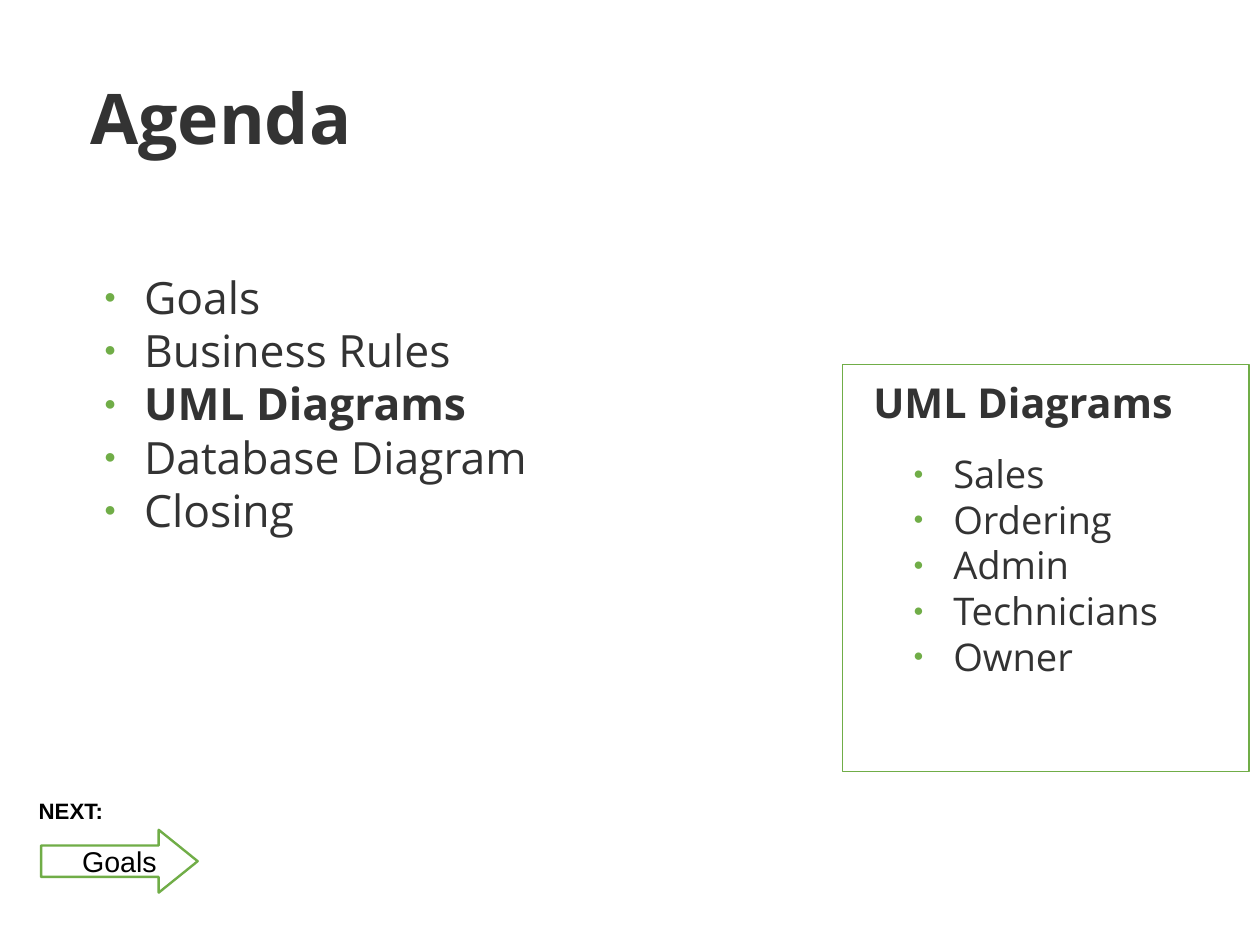
from dataclasses import dataclass

from lxml.etree import SubElement
from pptx import Presentation
from pptx.dml.color import RGBColor
from pptx.enum.shapes import MSO_SHAPE as Preset
from pptx.enum.text import MSO_ANCHOR as Anchor, MSO_AUTO_SIZE as AutoSize, PP_ALIGN as Align
from pptx.oxml.ns import qn
from pptx.util import Inches, Pt


@dataclass(frozen=True)
class Theme:
    ink: RGBColor = RGBColor(0x33, 0x33, 0x33)
    black: RGBColor = RGBColor(0, 0, 0)
    white: RGBColor = RGBColor(255, 255, 255)
    accent: RGBColor = RGBColor(0x70, 0xAD, 0x47)
    main_font: str = "Open Sans"
    label_font: str = "Arial"
    title: int = 44
    agenda: int = 28
    heading: int = 26
    topics: int = 24
    arrow: int = 18
    label: int = 14


@dataclass(frozen=True)
class Place:
    left: float
    top: float
    width: float
    height: float

    def lengths(self) -> tuple:
        return tuple(Inches(n) for n in (self.left, self.top, self.width, self.height))


@dataclass(frozen=True)
class TextBlock:
    holder: int  # placeholder index in the layout
    place: Place
    lines: tuple
    size: int
    bold: tuple = ()  # lines set in bold
    bulleted: bool = False


THEME = Theme()
CM_PER_INCH = 2.54
CURRENT = "UML Diagrams"
BLOCKS = (
    TextBlock(0, Place(0.79, 0.33, 9.68, 1.38), ("Agenda",), THEME.title, ("Agenda",)),
    TextBlock(2, Place(0.79, 2.36, 4.61, 4.8),
              ("Goals", "Business Rules", CURRENT, "Database Diagram", "Closing"),
              THEME.agenda, (CURRENT,), True),
    TextBlock(4, Place(7.87, 3.94, 3.15, 3.78),
              ("Sales", "Ordering", "Admin", "Technicians", "Owner"),
              THEME.topics, bulleted=True),
    TextBlock(3, Place(7.64, 2.83, 3.38, 1.38), (CURRENT,), THEME.heading, (CURRENT,)),
)


def set_font(para, name: str, size: int, color: RGBColor, bold: bool = False) -> None:
    font = para.font
    font.name, font.size, font.bold = name, Pt(size), bold
    font.color.rgb = color


def add_bullet(para) -> None:
    props = para._p.get_or_add_pPr()
    props.set("marL", str(Inches(0.47)))
    props.set("indent", str(Inches(-0.35)))
    color = SubElement(props, qn("a:buClr"))
    SubElement(color, qn("a:srgbClr"), val=str(THEME.accent))
    SubElement(props, qn("a:buSzPct"), val="45000")
    SubElement(props, qn("a:buFont"), typeface=THEME.label_font)
    SubElement(props, qn("a:buChar"), char="●")


def fill_block(page, block: TextBlock) -> None:
    box = next(item for item in page.placeholders
               if item.placeholder_format.idx == block.holder)
    box.left, box.top, box.width, box.height = block.place.lengths()
    frame = box.text_frame
    frame.margin_left = frame.margin_top = frame.margin_right = frame.margin_bottom = 0
    frame.auto_size, frame.word_wrap = AutoSize.NONE, True
    frame.vertical_anchor = Anchor.TOP if block.bulleted else Anchor.MIDDLE
    frame.text = "\n".join(block.lines)
    for para in frame.paragraphs:
        para.alignment = Align.LEFT
        para.space_before = Pt(0)
        if block.bulleted:
            add_bullet(para)
        set_font(para, THEME.main_font, block.size, THEME.ink, para.text in block.bold)


def add_outlined(page, preset: Preset, place: Place, weight: float):
    shape = page.shapes.add_shape(preset, *place.lengths())
    shape.shadow.inherit = False
    shape.line.color.rgb, shape.line.width = THEME.accent, Pt(weight)
    return shape


# Slide of 28 by 21 centimetres
deck = Presentation()
deck.slide_width, deck.slide_height = Inches(28 / CM_PER_INCH), Inches(21 / CM_PER_INCH)
page = deck.slides.add_slide(deck.slide_layouts.get_by_name("Comparison"))

# Title, agenda and topic list
for block in BLOCKS:
    fill_block(page, block)
used = {block.holder for block in BLOCKS}
for spare in list(page.placeholders):
    if spare.placeholder_format.idx not in used:
        spare._element.getparent().remove(spare._element)

# Topic panel, behind the text
panel = add_outlined(page, Preset.RECTANGLE, Place(7.37, 3.19, 3.56, 3.56), 1)
panel.fill.solid()
panel.fill.fore_color.rgb = THEME.white
page.shapes._spTree.insert(2, panel._element)

# Arrow to the next section
arrow = add_outlined(page, Preset.RIGHT_ARROW, Place(0.36, 7.26, 1.37, 0.55), 1.5)
arrow.fill.background()
arrow.adjustments[0], arrow.adjustments[1] = 0.5, 0.62
frame = arrow.text_frame
frame.margin_left, frame.margin_right = Inches(0.27), Inches(0.1)
frame.margin_top = frame.margin_bottom = 0
frame.vertical_anchor = Anchor.MIDDLE
frame.text = "Goals"
frame.paragraphs[0].alignment = Align.CENTER
set_font(frame.paragraphs[0], THEME.label_font, THEME.arrow, THEME.black)

# Label above the arrow
label = page.shapes.add_textbox(*Place(0.24, 6.93, 1.26, 0.38).lengths())
label.text_frame.word_wrap = True
label.text_frame.text = "NEXT:"
set_font(label.text_frame.paragraphs[0], THEME.label_font, THEME.label, THEME.black, True)

deck.save("out.pptx")
